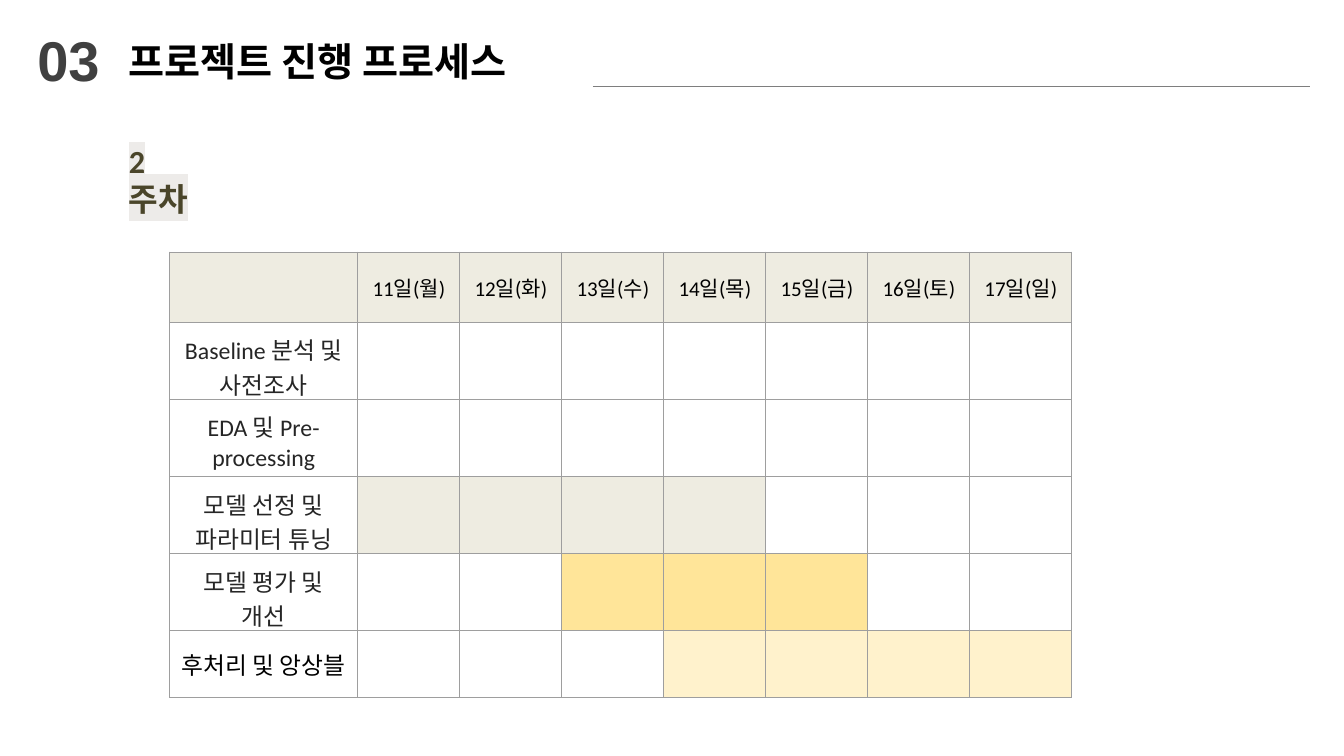
import dataclasses
import typing

import lxml.etree
import pptx
import pptx.dml.color
import pptx.enum.shapes
import pptx.enum.text
import pptx.oxml.ns
import pptx.util

Cm = pptx.util.Cm
Pt = pptx.util.Pt
qn = pptx.oxml.ns.qn


@dataclasses.dataclass(frozen=True)
class Theme:
    white: str = "FFFFFF"
    black: str = "000000"
    number: str = "404040"
    week: str = "4A452A"
    week_mark: str = "EDEBE9"
    task: str = "262626"
    beige: str = "EEECE1"
    amber: str = "FFE599"
    cream: str = "FFF2CC"
    border: str = "9E9E9E"
    rule: str = "7E7E7E"
    number_size: float = 40
    heading_size: float = 28
    week_size: float = 23
    task_size: float = 17
    day_size: float = 15


THEME = Theme()


@dataclasses.dataclass(frozen=True)
class Style:
    font: str
    size: float
    color: str
    bold: bool = False
    highlight: str = ""


@dataclasses.dataclass(frozen=True)
class Label:
    text: str
    box: tuple[float, float, float, float]
    style: Style


@dataclasses.dataclass(frozen=True)
class Task:
    name: str
    color: str = THEME.task
    first_day: int = 0
    last_day: int = -1
    bar: str = THEME.white


DAY_STYLE = Style("Calibri", THEME.day_size, THEME.black)
NUMBER = Label("03", (0.94, 0.64, 2.06, 1.75), Style("Arial", THEME.number_size, THEME.number, True))
LABELS = (
    Label("프로젝트 진행 프로세스", (3, 0.69, 10.29, 1.7),
          Style("Lato", THEME.heading_size, THEME.black, True)),
    Label("2주차", (3, 3.3, 2.31, 1.5),
          Style("Calibri", THEME.week_size, THEME.week, True, THEME.week_mark)),
)
FIRST_DATE = 11
WEEKDAYS = "월화수목금토일"
TASKS = (
    Task("Baseline 분석 및 사전조사"),
    Task("EDA 및 Pre-processing"),
    Task("모델 선정 및 파라미터 튜닝", first_day=0, last_day=3, bar=THEME.beige),
    Task("모델 평가 및 개선", first_day=2, last_day=4, bar=THEME.amber),
    Task("후처리 및 앙상블", THEME.black, first_day=3, last_day=6, bar=THEME.cream),
)
TASK_WIDTH, DAY_WIDTH = 4.75, 2.57
HEADER_HEIGHT, TASK_HEIGHT = 1.09, 1.7


def rgb(color: str) -> pptx.dml.color.RGBColor:
    return pptx.dml.color.RGBColor.from_string(color)


def apply(target: typing.Any, values: dict[str, typing.Any]) -> None:
    for name, value in values.items():
        setattr(target, name, value)


def margins(size: float) -> dict[str, int]:
    return {f"margin_{side}": Cm(size) for side in ("left", "right", "top", "bottom")}


def write(frame: typing.Any, text: str, style: Style, align: typing.Any) -> None:
    paragraph = frame.paragraphs[0]
    paragraph.alignment = align
    run = paragraph.add_run()
    run.text = text
    apply(run.font, {"name": style.font, "size": Pt(style.size), "bold": style.bold})
    run.font.color.rgb = rgb(style.color)
    if style.highlight:
        highlight = lxml.etree.Element(qn("a:highlight"))
        lxml.etree.SubElement(highlight, qn("a:srgbClr"), val=style.highlight)
        run._r.get_or_add_rPr().find(qn("a:solidFill")).addnext(highlight)


def draw_number(slide: typing.Any, label: Label) -> None:
    title = slide.shapes.title
    apply(title, dict(zip(("left", "top", "width", "height"), map(Cm, label.box))))
    apply(title.text_frame, {
        **margins(0),
        "word_wrap": True,
        "auto_size": pptx.enum.text.MSO_AUTO_SIZE.SHAPE_TO_FIT_TEXT,
        "vertical_anchor": pptx.enum.text.MSO_ANCHOR.TOP,
    })
    write(title.text_frame, label.text, label.style, pptx.enum.text.PP_ALIGN.LEFT)


def draw_label(slide: typing.Any, label: Label) -> None:
    frame = slide.shapes.add_textbox(*map(Cm, label.box)).text_frame
    apply(frame, {
        **margins(0.25),
        "word_wrap": True,
        "auto_size": pptx.enum.text.MSO_AUTO_SIZE.SHAPE_TO_FIT_TEXT,
    })
    write(frame, label.text, label.style, pptx.enum.text.PP_ALIGN.LEFT)


def draw_rule(slide: typing.Any) -> None:
    rule = slide.shapes.add_connector(
        pptx.enum.shapes.MSO_CONNECTOR.STRAIGHT, Cm(14.94), Cm(2.18), Cm(33.02), Cm(2.18))
    rule.line.color.rgb = rgb(THEME.rule)
    rule.line.width = Pt(1)
    lxml.etree.SubElement(rule._element.spPr, qn("a:effectLst"))


def format_cell(cell: typing.Any, fill: str) -> None:
    apply(cell, {**margins(0.25), "vertical_anchor": pptx.enum.text.MSO_ANCHOR.MIDDLE})
    cell.fill.solid()
    cell.fill.fore_color.rgb = rgb(fill)
    properties = cell._tc.get_or_add_tcPr()
    for position, side in enumerate("LRTB"):
        border = lxml.etree.Element(qn(f"a:ln{side}"), w=str(Pt(0.75)))
        solid = lxml.etree.SubElement(border, qn("a:solidFill"))
        lxml.etree.SubElement(solid, qn("a:srgbClr"), val=THEME.border)
        properties.insert(position, border)


def draw_schedule(slide: typing.Any) -> None:
    schedule = slide.shapes.add_table(
        len(TASKS) + 1, len(WEEKDAYS) + 1, Cm(4.27), Cm(6.35),
        Cm(TASK_WIDTH + DAY_WIDTH * len(WEEKDAYS)),
        Cm(HEADER_HEIGHT + TASK_HEIGHT * len(TASKS))).table
    apply(schedule, {"first_row": False, "horz_banding": False})
    for index, column in enumerate(schedule.columns):
        column.width = Cm(DAY_WIDTH if index else TASK_WIDTH)
    for index, row in enumerate(schedule.rows):
        row.height = Cm(TASK_HEIGHT if index else HEADER_HEIGHT)

    center = pptx.enum.text.PP_ALIGN.CENTER
    format_cell(schedule.cell(0, 0), THEME.beige)
    for day, weekday in enumerate(WEEKDAYS):
        header = schedule.cell(0, day + 1)
        format_cell(header, THEME.beige)
        write(header.text_frame, f"{FIRST_DATE + day}일({weekday})", DAY_STYLE, center)
    for row_index, task in enumerate(TASKS, 1):
        name_cell = schedule.cell(row_index, 0)
        format_cell(name_cell, THEME.white)
        write(name_cell.text_frame, task.name,
              Style("Calibri", THEME.task_size, task.color), center)
        for day in range(len(WEEKDAYS)):
            active = task.first_day <= day <= task.last_day
            format_cell(schedule.cell(row_index, day + 1), task.bar if active else THEME.white)


def main() -> None:
    deck = pptx.Presentation()
    apply(deck, {"slide_width": Cm(33.87), "slide_height": Cm(19.05)})
    slide = deck.slides.add_slide(deck.slide_layouts.get_by_name("Title Only"))
    draw_number(slide, NUMBER)
    draw_schedule(slide)
    draw_rule(slide)
    for label in LABELS:
        draw_label(slide, label)
    deck.save("out.pptx")


if __name__ == "__main__":
    main()
